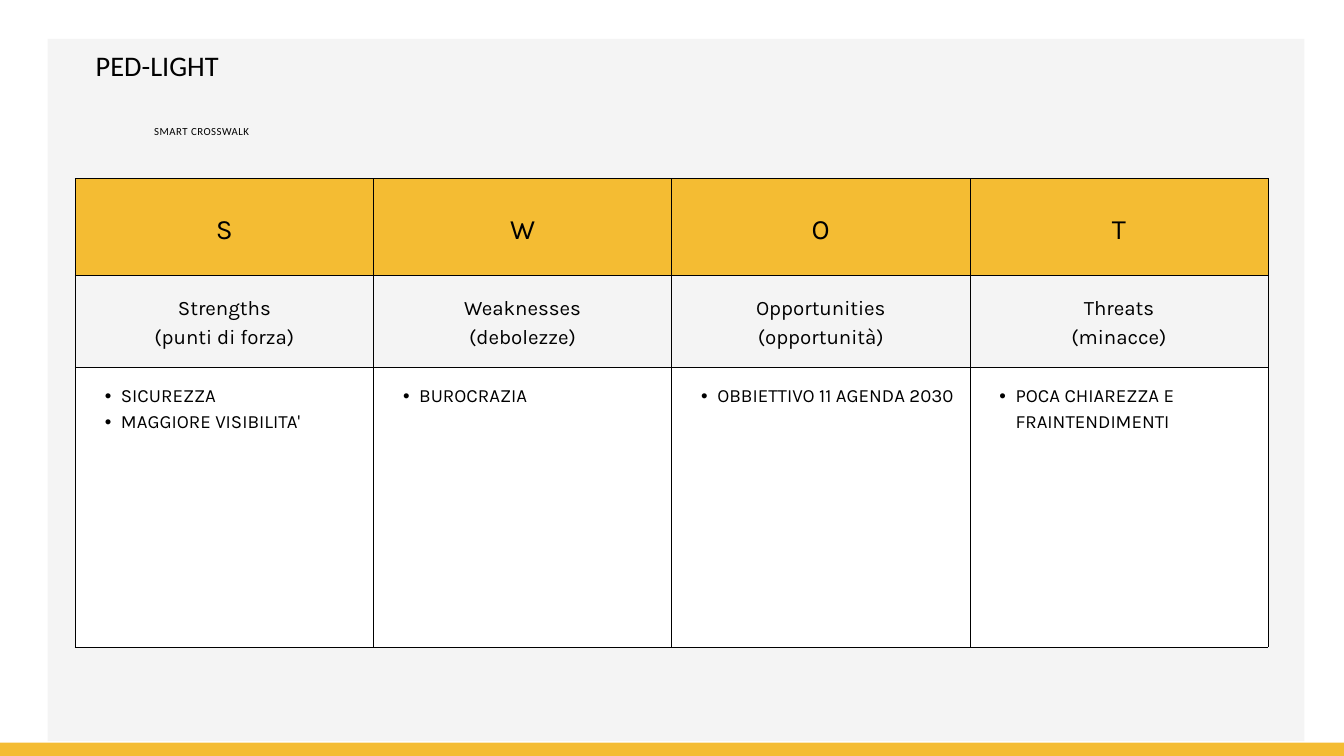
from lxml import etree
from pptx import Presentation
from pptx import util as u
from pptx.dml.color import RGBColor
from pptx.enum import shapes, text
from pptx.oxml.ns import qn

BLACK = RGBColor(0x00, 0x00, 0x00)
WHITE = RGBColor(0xFF, 0xFF, 0xFF)
GREY = RGBColor(0xF4, 0xF4, 0xF4)
AMBER = RGBColor(0xF4, 0xBC, 0x33)

CENTER, LEFT, RIGHT = text.PP_ALIGN.CENTER, text.PP_ALIGN.LEFT, text.PP_ALIGN.RIGHT

SWOT = [
    ("S", "Strengths", "(punti di forza)", ["SICUREZZA", "MAGGIORE VISIBILITA'"]),
    ("W", "Weaknesses", "(debolezze)", ["BUROCRAZIA"]),
    ("O", "Opportunities", "(opportunità)", ["OBBIETTIVO 11 AGENDA 2030"]),
    ("T", "Threats", "(minacce)", ["POCA CHIAREZZA E FRAINTENDIMENTI"]),
]


class SwotSlide:
    """Style and current slide; boxes are (left, top, width, height) in percent of the slide."""

    heading_font = "Calibri"
    table_font = "Karla"
    padding = u.Inches(0.21)
    bullet_indent = u.Inches(0.47)
    bullet_hang = u.Inches(0.24)
    border = u.Pt(0.75)

    def __init__(self, deck):
        self.deck = deck
        self.slide = deck.slides.add_slide(deck.slide_layouts[6])

    def across(self, percent):
        return round(self.deck.slide_width * percent / 100)

    def down(self, percent):
        return round(self.deck.slide_height * percent / 100)

    def place(self, box):
        left, top, width, height = box
        return self.across(left), self.down(top), self.across(width), self.down(height)

    def panel(self, box, color):
        panel = self.slide.shapes.add_shape(shapes.MSO_SHAPE.RECTANGLE, *self.place(box))
        panel.shadow.inherit = False
        panel.fill.solid()
        panel.fill.fore_color.rgb = color
        panel.line.fill.background()

    def set_lines(self, frame, lines, font, size, leading, align):
        frame.text = "\n".join(lines)
        for paragraph in frame.paragraphs:
            paragraph.alignment = align
            paragraph.line_spacing = u.Pt(leading)
            for run in paragraph.runs:
                run.font.name = font
                run.font.size = u.Pt(size)
                run.font.color.rgb = BLACK

    def heading(self, box, wording, size, leading, align, tracking=0):
        """Tracking is the letter spacing in hundredths of a point."""
        frame = self.slide.shapes.add_textbox(*self.place(box)).text_frame
        frame.word_wrap = True
        frame.margin_left = frame.margin_right = frame.margin_top = frame.margin_bottom = 0
        self.set_lines(frame, [wording], self.heading_font, size, leading, align)
        if tracking:
            frame.paragraphs[0].runs[0]._r.get_or_add_rPr().set("spc", str(tracking))

    def outline(self, cell):
        properties = cell._tc.get_or_add_tcPr()
        for side in ("lnL", "lnR", "lnT", "lnB"):
            line = etree.SubElement(properties, qn(f"a:{side}"), w=str(self.border))
            fill = etree.SubElement(line, qn("a:solidFill"))
            etree.SubElement(fill, qn("a:srgbClr"), val=str(BLACK))

    def bullet(self, paragraph):
        paragraph.level = 1
        properties = paragraph._p.get_or_add_pPr()
        properties.set("marL", str(self.bullet_indent))
        properties.set("indent", str(-self.bullet_hang))
        etree.SubElement(properties, qn("a:buFont"), typeface="Arial")
        etree.SubElement(properties, qn("a:buChar"), char="•")

    def cell(self, cell, lines, color, size, leading, bulleted=False):
        self.outline(cell)
        cell.fill.solid()
        cell.fill.fore_color.rgb = color
        cell.margin_left = cell.margin_right = self.padding
        cell.margin_top = cell.margin_bottom = self.padding
        anchor = text.MSO_ANCHOR
        cell.vertical_anchor = anchor.TOP if bulleted else anchor.MIDDLE
        align = LEFT if bulleted else CENTER
        self.set_lines(cell.text_frame, lines, self.table_font, size, leading, align)
        if bulleted:
            for paragraph in cell.text_frame.paragraphs:
                self.bullet(paragraph)

    def swot_table(self, box, row_heights, quadrants):
        left, top, width, height = self.place(box)
        table = self.slide.shapes.add_table(
            len(row_heights), len(quadrants), left, top, width, height
        ).table
        table.first_row = table.horz_banding = False
        for row, share in zip(table.rows, row_heights):
            row.height = self.down(share)
        for column, (letter, name, translation, points) in enumerate(quadrants):
            self.cell(table.cell(0, column), [letter], AMBER, 30, 42)
            self.cell(table.cell(1, column), [name, translation], GREY, 22, 30.8)
            self.cell(table.cell(2, column), points, WHITE, 20, 28, bulleted=True)


def main():
    deck = Presentation()
    deck.slide_width, deck.slide_height = u.Inches(20), u.Inches(11.25)
    page = SwotSlide(deck)
    page.panel((3.55, 5.16, 93.5, 92.89), GREY)
    page.swot_table((5.6, 23.64, 88.75, 61.96), (12.8, 12.09, 37.07), SWOT)
    page.heading((5.6, 7.11, 12.2, 4.09), "PED-LIGHT", 30.4, 30.7, CENTER)
    page.heading((7.5, 16.27, 11.05, 1.87), "SMART CROSSWALK", 11.6, 16.2, RIGHT, tracking=50)
    page.panel((0, 98.22, 100, 1.78), AMBER)
    deck.save("out.pptx")


if __name__ == "__main__":
    main()
